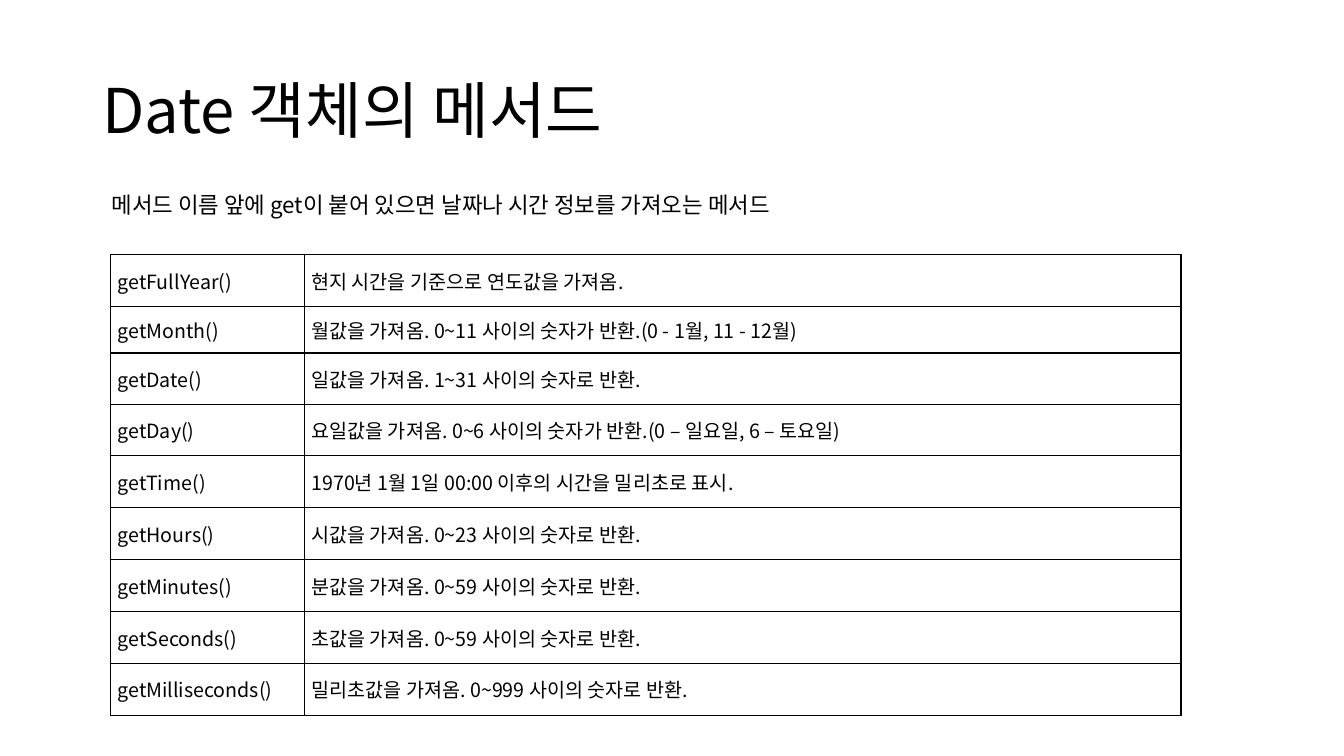
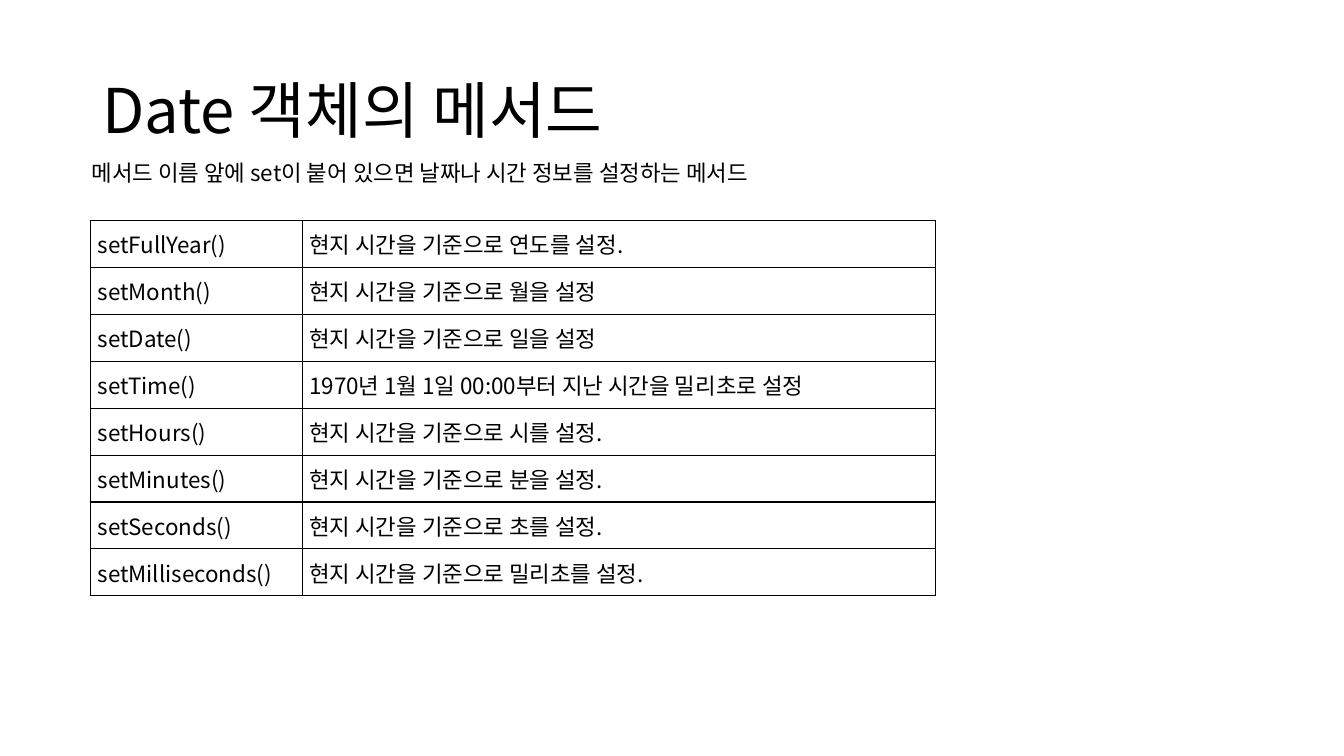
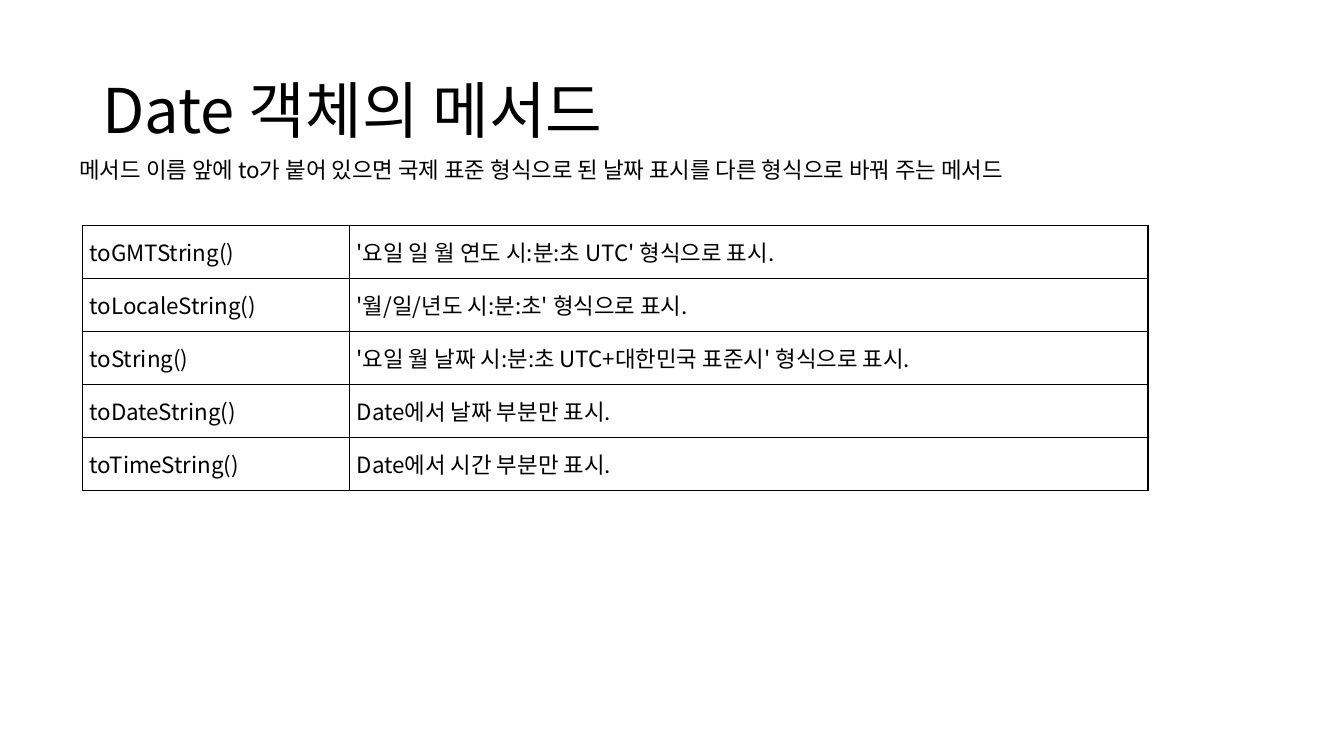
from lxml import etree
from pptx import Presentation
from pptx.dml.color import RGBColor
from pptx.enum import text
from pptx.oxml.ns import qn
from pptx.util import Pt

BLACK = RGBColor(0x00, 0x00, 0x00)
FONT = "Noto Sans CJK KR"
LATIN_FONT = "Calibri"
TITLE = "Date 객체의 메서드"
TITLE_BOX = (66, 28.8, 828, 104.4)
INTRO_SIZE = 16
INTRO_HEIGHT = 26.6
CELL_MARGIN = 5
BORDER = 1

# Intro: (text, font) runs. Boxes: left, top, width. Row heights: default, then exceptions.
SLIDES = [
    {
        "intro": [("메서드 이름 앞에 get이 붙어 있으면 날짜나 시간 정보를 가져오는 메서드", FONT)],
        "intro_at": (72.6, 133.2, 727),
        "table_at": (79, 182),
        "columns": (138.4, 626.2),
        "row_height": 37.1,
        "row_exceptions": {1: 33, 3: 36.4},
        "size": 14,
        "methods": [
            ("getFullYear()", "현지 시간을 기준으로 연도값을 가져옴."),
            ("getMonth()", "월값을 가져옴. 0~11 사이의 숫자가 반환.(0 - 1월, 11 - 12월)"),
            ("getDate()", "일값을 가져옴. 1~31 사이의 숫자로 반환."),
            ("getDay()", "요일값을 가져옴. 0~6 사이의 숫자가 반환.(0 – 일요일, 6 – 토요일)"),
            ("getTime()", "1970년 1월 1일 00:00 이후의 시간을 밀리초로 표시."),
            ("getHours()", "시값을 가져옴. 0~23 사이의 숫자로 반환."),
            ("getMinutes()", "분값을 가져옴. 0~59 사이의 숫자로 반환."),
            ("getSeconds()", "초값을 가져옴. 0~59 사이의 숫자로 반환."),
            ("getMilliseconds()", "밀리초값을 가져옴. 0~999 사이의 숫자로 반환."),
        ],
    },
    {
        "intro": [("메서드 이름 앞에 set이 붙어 있으면 날짜나 시간 정보를 설정하는 메서드", FONT)],
        "intro_at": (58.3, 110.2, 727),
        "table_at": (64.8, 157.7),
        "columns": (151.2, 452.2),
        "row_height": 33.5,
        "row_exceptions": {},
        "size": 16,
        "methods": [
            ("setFullYear()", "현지 시간을 기준으로 연도를 설정."),
            ("setMonth()", "현지 시간을 기준으로 월을 설정"),
            ("setDate()", "현지 시간을 기준으로 일을 설정"),
            ("setTime()", "1970년 1월 1일 00:00부터 지난 시간을 밀리초로 설정"),
            ("setHours()", "현지 시간을 기준으로 시를 설정."),
            ("setMinutes()", "현지 시간을 기준으로 분을 설정."),
            ("setSeconds()", "현지 시간을 기준으로 초를 설정."),
            ("setMilliseconds()", "현지 시간을 기준으로 밀리초를 설정."),
        ],
    },
    {
        "intro": [
            ("메서드 이름 앞에 to가 붙어 있으면 ", FONT),
            ("국제 표준 형식으로 된 날짜 표시를 다른 형식으로 바꿔 주는 메서드", LATIN_FONT),
        ],
        "intro_at": (49.7, 108, 854.6),
        "table_at": (59, 161.2),
        "columns": (190.8, 570.2),
        "row_height": 37.8,
        "row_exceptions": {},
        "size": 16,
        "methods": [
            ("toGMTString()", "'요일 일 월 연도 시:분:초 UTC' 형식으로 표시."),
            ("toLocaleString()", "'월/일/년도 시:분:초' 형식으로 표시."),
            ("toString()", "'요일 월 날짜 시:분:초 UTC+대한민국 표준시' 형식으로 표시."),
            ("toDateString()", "Date에서 날짜 부분만 표시."),
            ("toTimeString()", "Date에서 시간 부분만 표시."),
        ],
    },
]


def write(paragraph, runs, size):
    """Fill a paragraph; only runs in another font get their own setting."""
    paragraph.font.name = FONT
    paragraph.font.size = Pt(size)
    paragraph.font.color.rgb = BLACK
    defaults = paragraph._p.pPr.find(qn("a:defRPr"))
    east_asian = etree.Element(qn("a:ea"), typeface=FONT)
    defaults.find(qn("a:latin")).addnext(east_asian)
    for words, font in runs:
        run = paragraph.add_run()
        run.text = words
        if font != FONT:
            run.font.name = font


def add_text(slide, box, runs, size):
    frame = slide.shapes.add_textbox(*map(Pt, box)).text_frame
    frame.word_wrap = True
    write(frame.paragraphs[0], runs, size)
    return frame


def add_borders(cell):
    properties = cell._tc.get_or_add_tcPr()
    for position, side in enumerate(("lnL", "lnR", "lnT", "lnB")):
        line = etree.Element(qn(f"a:{side}"), w=str(Pt(BORDER)))
        fill = etree.SubElement(line, qn("a:solidFill"))
        etree.SubElement(fill, qn("a:srgbClr"), val=str(BLACK))
        properties.insert(position, line)


def add_method_table(slide, content):
    methods, columns = content["methods"], content["columns"]
    heights = [content["row_exceptions"].get(i, content["row_height"])
               for i in range(len(methods))]
    box = (*content["table_at"], sum(columns), sum(heights))
    table = slide.shapes.add_table(len(methods), len(columns), *map(Pt, box)).table
    table.first_row = table.horz_banding = False
    for column, width in zip(table.columns, columns):
        column.width = Pt(width)
    for row, height, method in zip(table.rows, heights, methods):
        row.height = Pt(height)
        for cell, words in zip(row.cells, method):
            cell.margin_left = cell.margin_right = Pt(CELL_MARGIN)
            cell.margin_top = cell.margin_bottom = 0
            cell.vertical_anchor = text.MSO_ANCHOR.MIDDLE
            cell.fill.background()
            add_borders(cell)
            write(cell.text_frame.paragraphs[0], [(words, FONT)], content["size"])


def main():
    deck = Presentation()
    deck.slide_width, deck.slide_height = Pt(960), Pt(540)
    for content in SLIDES:
        slide = deck.slides.add_slide(deck.slide_layouts[6])
        # Title
        title = add_text(slide, TITLE_BOX, [(TITLE, FONT)], 44)
        title.vertical_anchor = text.MSO_ANCHOR.MIDDLE
        title.paragraphs[0].line_spacing = 0.9
        # Introduction
        intro_box = (*content["intro_at"], INTRO_HEIGHT)
        intro = add_text(slide, intro_box, content["intro"], INTRO_SIZE)
        intro.auto_size = text.MSO_AUTO_SIZE.SHAPE_TO_FIT_TEXT
        # Methods
        add_method_table(slide, content)
    deck.save("out.pptx")


if __name__ == "__main__":
    main()
